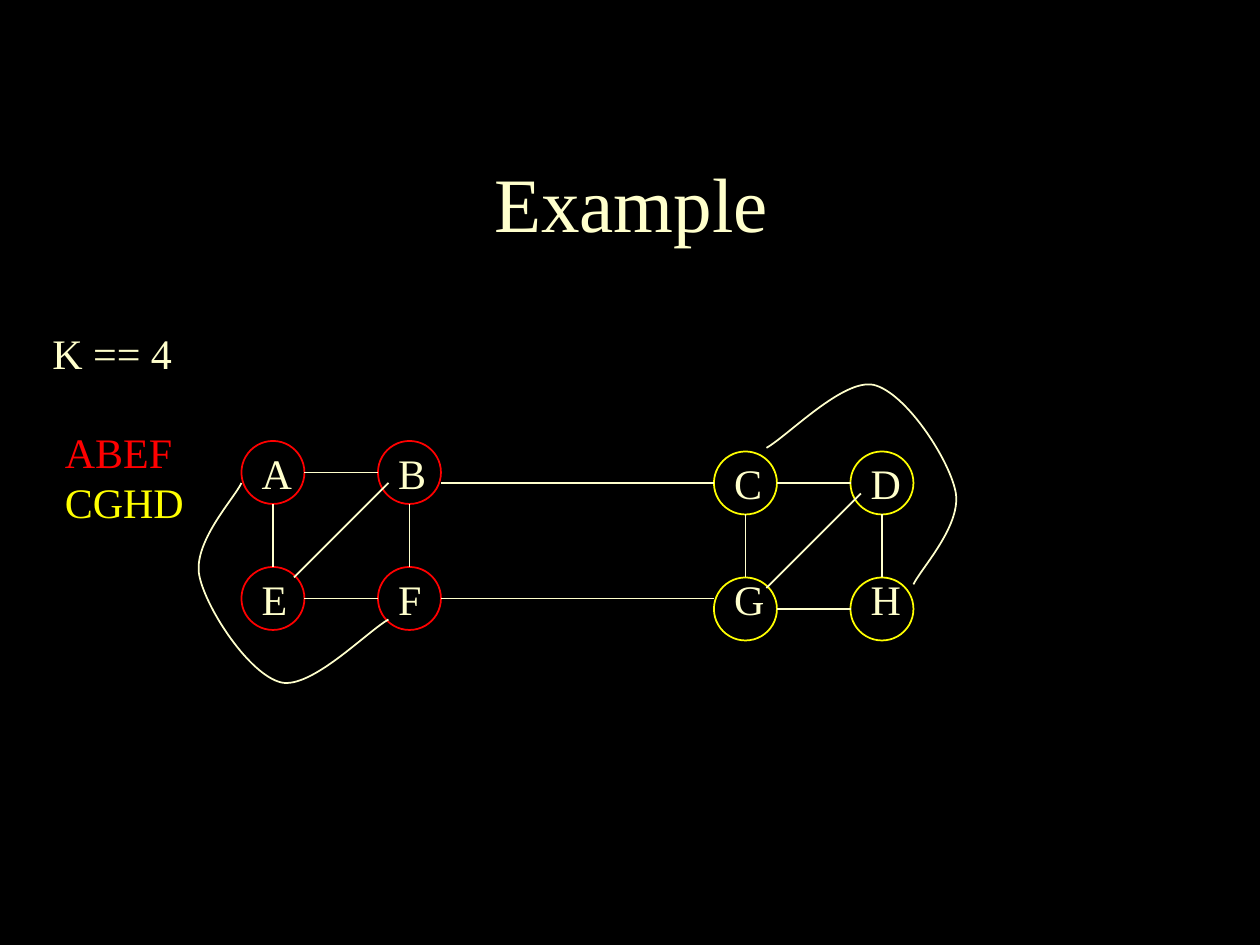
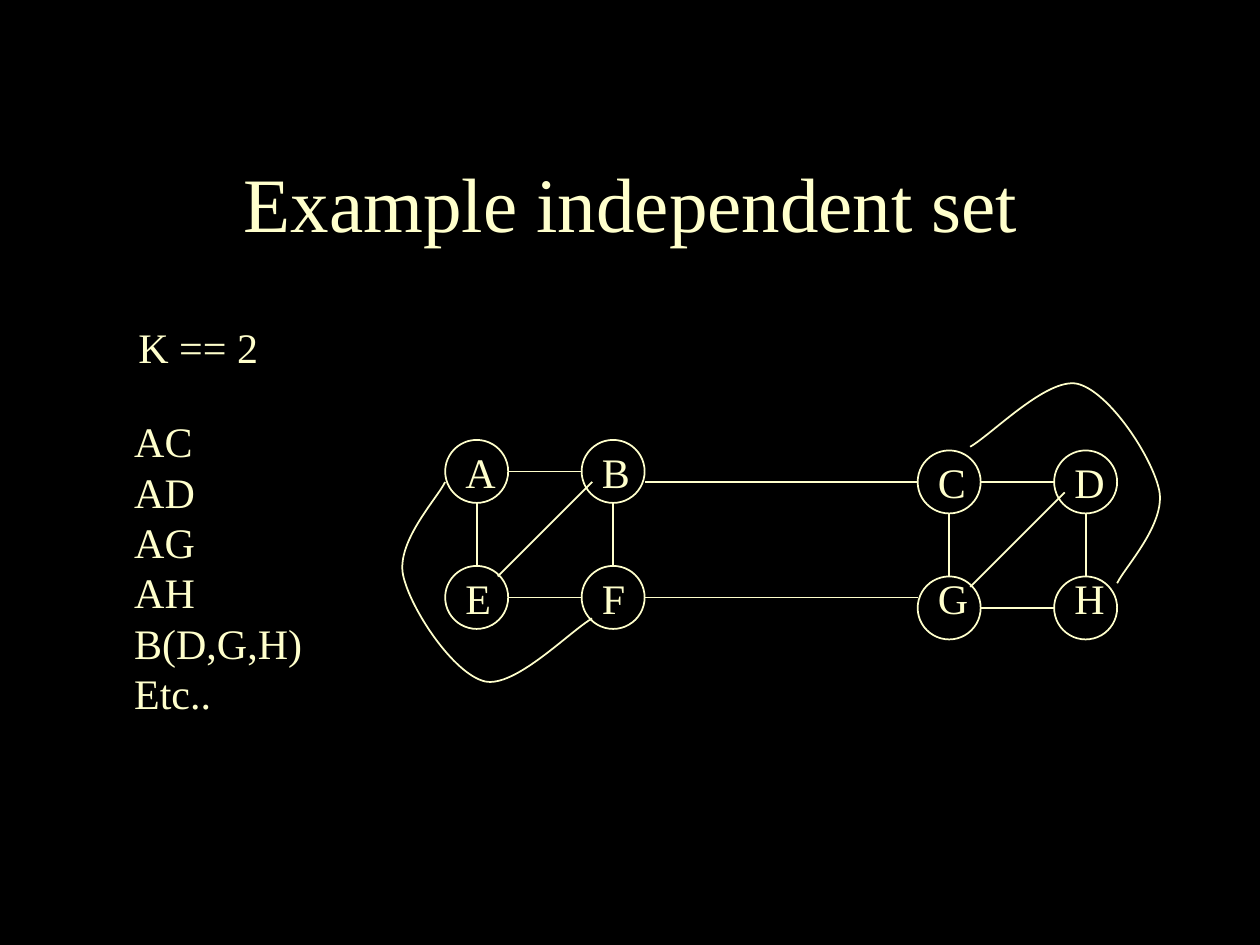
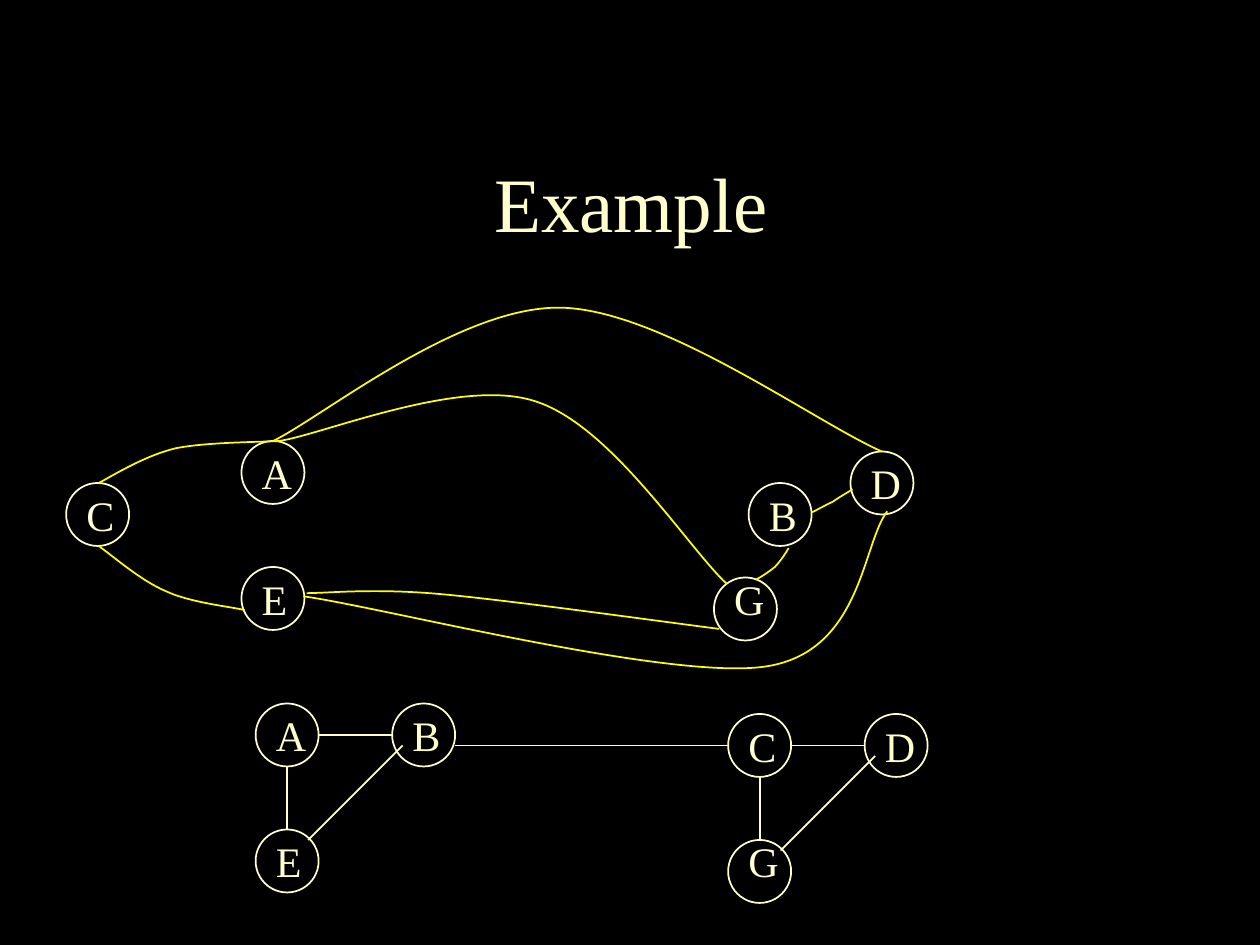
from dataclasses import dataclass, field

from pptx import Presentation
from pptx.dml.color import RGBColor
from pptx.enum.shapes import MSO_CONNECTOR, MSO_SHAPE
from pptx.enum.text import MSO_ANCHOR, MSO_AUTO_SIZE, PP_ALIGN
from pptx.oxml.xmlchemy import OxmlElement
from pptx.presentation import Presentation as Deck
from pptx.slide import Slide
from pptx.util import Emu, Inches, Pt

# Colours and type
BLACK = RGBColor(0x00, 0x00, 0x00)
CREAM = RGBColor(0xFF, 0xFF, 0xCC)
RED = RGBColor(0xFF, 0x00, 0x00)
YELLOW = RGBColor(0xFF, 0xFF, 0x00)
FONT = "Times New Roman"

# The slide is a grid of 120 columns by 90 rows; all lengths are in its cells
SLIDE_WIDTH, SLIDE_HEIGHT = Inches(10), Inches(7.5)
CELL = SLIDE_WIDTH / 120
NODE = 6
LABEL_INDENT, LABEL_HEIGHT = 0.75, 5.6
LABEL_WIDTHS = dict(A=5.3, B=5, C=5, D=5.3, E=4.8, F=4.6, G=5.3, H=5.3)
LABEL_LIFTS = dict(G=1, H=1)

Point = tuple[float, float]
Box = tuple[float, float, float, float]


@dataclass(frozen=True)
class Edge:
    start: str
    end: str
    level: str = ""  # node whose centre line a horizontal edge follows


@dataclass(frozen=True)
class Graph:
    origin: Point
    nodes: dict[str, Point]
    edges: list[Edge] = field(default_factory=list)
    colours: dict[str, RGBColor] = field(default_factory=dict)

    def place(self, name: str) -> Point:
        return tuple(o + d for o, d in zip(self.origin, self.nodes[name]))


@dataclass(frozen=True)
class Note:
    box: Box
    lines: list[str]
    colours: list[RGBColor] = field(default_factory=list)


def square(names: str, left: float, top: float) -> dict[str, Point]:
    """Offsets of four nodes, row by row."""
    return {name: (left + 13 * (i % 2), top + 12 * (i // 2)) for i, name in enumerate(names)}


NODES = square("ABEF", 0, 0) | square("CDGH", 45, 1)
EDGES = [Edge(*pair) for pair in ("AE", "BF", "FE", "BA", "BE", "CG", "DH", "HG", "DC", "DG")]
EDGES += [Edge("B", "C", level="C"), Edge("F", "G", level="F")]

# The A-F loop, and the C-H loop, which is the same one turned half round
LOOP_AF = [(0, 4), (-0.7, 5.5), (-4.7, 9.7), (-4, 12.9), (-3.3, 16.1),
           (0.8, 22.3), (3.8, 23), (6.7, 23.6), (11.9, 18.2), (14, 17)]
LOOP_CH = [(64 - x, 17.65 - y) for x, y in LOOP_AF]

# Complement edges of the third slide
COMPLEMENT = [
    [(26, 42), (30.6, 39.8), (43.6, 29.2), (53.3, 29.3), (62.9, 29.4), (77.6, 40.2), (84, 43)],
    [(26.6, 42), (25, 42.1), (19.6, 42.1), (16.7, 42.7), (13.8, 43.4), (10.9, 45.2), (9.4, 46)],
    [(26.6, 42), (30.7, 41.4), (43.8, 35.9), (50.9, 38.2), (58.1, 40.4), (65.4, 52), (69.2, 55.6)],
    [(75.1, 52.2), (74.9, 52.6), (74.3, 53.5), (73.8, 54), (73.2, 54.5), (72.4, 55), (72, 55.2)],
    [(77.3, 48.8), (77.6, 48.7), (78.6, 48.1), (79.3, 47.8), (80, 47.3), (80.9, 46.8), (81.2, 46.6)],
    [(28.9, 56.8), (36.2, 57.8), (63.6, 64.8), (72.8, 63.5), (82.1, 62.2), (82.1, 51.8), (84.5, 48.7)],
    [(29.2, 56.5), (31.3, 56.5), (35.6, 56), (42.1, 56.6), (48.7, 57.2), (63, 59.2), (68.5, 59.9)],
    [(23.3, 58.1), (22.1, 57.8), (18.1, 57.4), (15.8, 56.3), (13.4, 55.3), (10.7, 52.9), (9.4, 52)],
]


def cells(*lengths: float) -> list[Emu]:
    return [Emu(round(length * CELL)) for length in lengths]


def format_runs(paragraph, size: int, colour: RGBColor) -> None:
    for run in paragraph.runs:
        run.font.name, run.font.size = FONT, Pt(size)
        run.font.color.rgb = colour


def set_line(line, colour: RGBColor) -> None:
    line.color.rgb, line.width = colour, Pt(1)


def add_note(slide: Slide, note: Note) -> None:
    frame = slide.shapes.add_textbox(*cells(*note.box)).text_frame
    frame.word_wrap, frame.auto_size = False, MSO_AUTO_SIZE.SHAPE_TO_FIT_TEXT
    frame.text = "\n".join(note.lines)
    for paragraph, colour in zip(frame.paragraphs, note.colours or [CREAM] * len(note.lines)):
        format_runs(paragraph, 24, colour)


def add_edge(slide: Slide, graph: Graph, edge: Edge) -> None:
    (x1, y1), (x2, y2) = graph.place(edge.start), graph.place(edge.end)
    if x1 == x2:  # down a column
        ends = x1 + NODE / 2, y1 + NODE, x2 + NODE / 2, y2
    elif edge.level or y1 == y2:  # along a row
        level = graph.place(edge.level or edge.start)[1] + NODE / 2
        ends = (x1, level, x2 + NODE, level) if x1 > x2 else (x1 + NODE, level, x2, level)
    else:  # diagonal, reaching a little into the upper node
        ends = x1 + 1, y1 + 4, x2 + 5, y2 + 1
    link = slide.shapes.add_connector(MSO_CONNECTOR.STRAIGHT, *cells(*ends))
    set_line(link.line, CREAM)
    link._element.spPr.append(OxmlElement("a:effectLst"))


def add_curve(slide: Slide, points: list[Point], colour: RGBColor, origin: Point = (0, 0)) -> None:
    """Draw a start point followed by Bezier triples."""
    start, *rest = [cells(x + origin[0], y + origin[1]) for x, y in points]
    builder = slide.shapes.build_freeform(*start)
    builder.add_line_segments(rest, close=False)
    curve = builder.convert_to_shape()
    curve.shadow.inherit = False
    curve.fill.background()
    set_line(curve.line, colour)
    segments = curve._element.xpath(".//a:lnTo")
    for i in range(0, len(segments), 3):
        bezier = OxmlElement("a:cubicBezTo")
        segments[i].addprevious(bezier)
        for segment in segments[i:i + 3]:
            bezier.append(segment[0])
            segment.getparent().remove(segment)


def add_graph(slide: Slide, graph: Graph) -> None:
    for name in graph.nodes:
        left, top = graph.place(name)
        ring = slide.shapes.add_shape(MSO_SHAPE.OVAL, *cells(left, top, NODE, NODE))
        ring.shadow.inherit = False
        ring.fill.background()
        set_line(ring.line, graph.colours.get(name, CREAM))
        label_top = top - LABEL_LIFTS.get(name, 0)
        add_note(slide, Note((left + LABEL_INDENT, label_top, LABEL_WIDTHS[name], LABEL_HEIGHT), [name]))
    for edge in graph.edges:
        add_edge(slide, graph, edge)


def add_slide(deck: Deck, heading: str) -> Slide:
    slide = deck.slides.add_slide(deck.slide_layouts[5])
    title = slide.shapes.title
    title.left, title.top, title.width, title.height = cells(1.8, 11.65, 116.65, 15.1)
    title.text_frame.text = heading
    title.text_frame.vertical_anchor = MSO_ANCHOR.MIDDLE
    paragraph = title.text_frame.paragraphs[0]
    paragraph.alignment = PP_ALIGN.CENTER
    format_runs(paragraph, 44, CREAM)
    return slide


def add_example(deck: Deck, heading: str, graph: Graph, notes: list[Note]) -> None:
    """A full graph with both loops, and notes on its left."""
    slide = add_slide(deck, heading)
    add_graph(slide, graph)
    for loop in (LOOP_CH, LOOP_AF):
        add_curve(slide, loop, CREAM, graph.origin)
    for note in notes:
        add_note(slide, note)


def main() -> None:
    deck = Presentation()
    deck.slide_width, deck.slide_height = SLIDE_WIDTH, SLIDE_HEIGHT
    backdrop = deck.slide_master.background.fill
    backdrop.solid()
    backdrop.fore_color.rgb = BLACK

    # Cliques of four
    cliques = dict.fromkeys("ABEF", RED) | dict.fromkeys("CDGH", YELLOW)
    add_example(deck, "Example", Graph((23, 42), NODES, EDGES, cliques), [
        Note((3.8, 30.6, 13.8, 5.6), ["K == 4"]),
        Note((5, 40, 13.7, 10.1), ["ABEF", "CGHD"], [RED, YELLOW]),
    ])

    # Independent sets of two
    add_example(deck, "Example independent set", Graph((42.4, 41.9), NODES, EDGES), [
        Note((12, 30, 13.8, 5.6), ["K == 2"]),
        Note((11.6, 39, 18.4, 32.2), ["AC", "AD", "AG", "AH", "B(D,G,H)", "Etc.."]),
    ])

    # Complement above, its graph of six nodes below
    slide = add_slide(deck, "Example")
    six_nodes = {name: spot for name, spot in NODES.items() if name not in "FH"}
    six_edges = [e for e in EDGES if e.start in six_nodes and e.end in six_nodes]
    moved = {"B": (48.3, 4), "C": (-16.7, 4)}
    add_graph(slide, Graph((23, 42), six_nodes | moved))
    for points in COMPLEMENT:
        add_curve(slide, points, YELLOW)
    add_graph(slide, Graph((24.35, 67), six_nodes, six_edges))

    deck.save("out.pptx")


if __name__ == "__main__":
    main()
